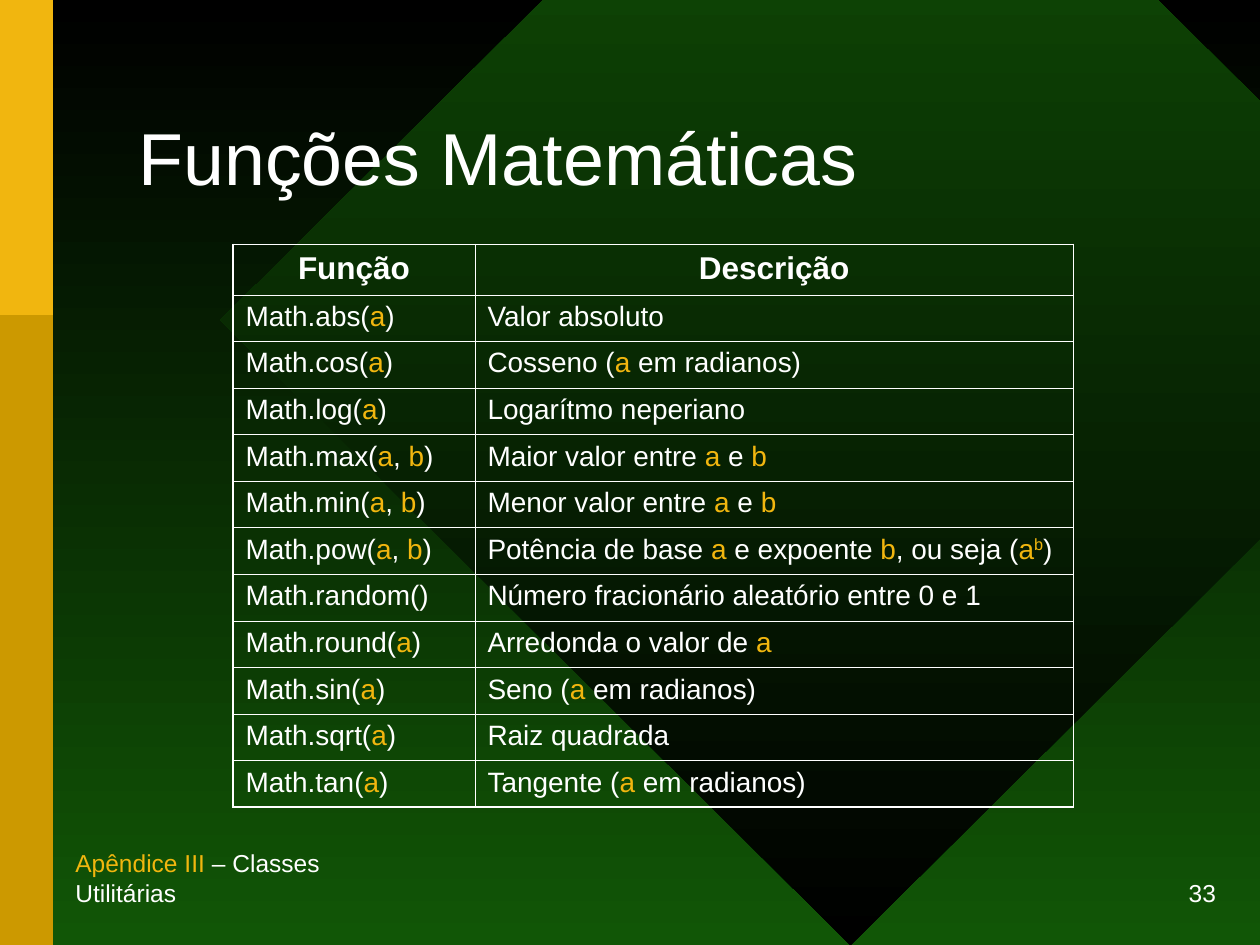
"""Builds the slide listing the mathematical functions."""
from lxml import etree
from pptx import Presentation
from pptx.dml.color import RGBColor
from pptx.enum.shapes import MSO_SHAPE
from pptx.enum.text import MSO_ANCHOR, MSO_AUTO_SIZE, PP_ALIGN
from pptx.oxml import parse_xml
from pptx.util import Inches, Pt

DIAMOND, RECTANGLE = MSO_SHAPE.DIAMOND, MSO_SHAPE.RECTANGLE
LEFT, CENTER, RIGHT = PP_ALIGN.LEFT, PP_ALIGN.CENTER, PP_ALIGN.RIGHT
MIDDLE, BOTTOM = MSO_ANCHOR.MIDDLE, MSO_ANCHOR.BOTTOM
NO_FIT = MSO_AUTO_SIZE.NONE
DRAWING = "http://schemas.openxmlformats.org/drawingml/2006/main"
COLORS = {"text": "FFFFFF", "accent": "F1B60F", "ochre": "CC9900",
          "green": "115606", "black": "000000"}
DOWNWARD = 270
OUTER, INNER = 1.08, 0.45

FUNCTIONS = [
    ("Math.abs(*a*)", "Valor absoluto"),
    ("Math.cos(*a*)", "Cosseno (*a* em radianos)"),
    ("Math.log(*a*)", "Logarítmo neperiano"),
    ("Math.max(*a*, *b*)", "Maior valor entre *a* e *b*"),
    ("Math.min(*a*, *b*)", "Menor valor entre *a* e *b*"),
    ("Math.pow(*a*, *b*)",
     "Potência de base *a* e expoente *b*, ou seja (*a**^b*)"),
    ("Math.random()", "Número fracionário aleatório entre 0 e 1"),
    ("Math.round(*a*)", "Arredonda o valor de *a*"),
    ("Math.sin(*a*)", "Seno (*a* em radianos)"),
    ("Math.sqrt(*a*)", "Raiz quadrada"),
    ("Math.tan(*a*)", "Tangente (*a* em radianos)"),
]


def rgb(name):
    """Return the named colour."""
    return RGBColor.from_string(COLORS[name])


def write(frame, text, size, align=LEFT, bold=False, before=0, spacing=1.0):
    """Write text, with *accented* parts and ^ marking a superscript."""
    paragraph = frame.paragraphs[0]
    paragraph.alignment = align
    paragraph.space_before = Pt(before)
    paragraph.line_spacing = spacing
    for index, part in enumerate(text.split("*")):
        if not part:
            continue
        run = paragraph.add_run()
        run.text = part.lstrip("^")
        run.font.name = "Arial"
        run.font.size = Pt(size)
        run.font.bold = bold
        run.font.color.rgb = rgb("accent" if index % 2 else "text")
        if part.startswith("^"):
            run.font._element.set("baseline", "30000")


def paint_gradient(fill, first, last):
    """Fill with a gradient running from top to bottom."""
    fill.gradient()
    fill.gradient_angle = DOWNWARD
    for stop, name, position in zip(fill.gradient_stops, (first, last), (0, 1)):
        stop.color.rgb = rgb(name)
        stop.position = position


def draw_borders(cell, widths):
    """Draw the left, right, top and bottom borders of a cell."""
    properties = cell._tc.get_or_add_tcPr()
    for index, (side, width) in enumerate(zip("LRTB", widths)):
        line = parse_xml(f'<a:ln{side} xmlns:a="{DRAWING}" w="{Pt(width)}"/>')
        solid = etree.SubElement(line, f"{{{DRAWING}}}solidFill")
        etree.SubElement(solid, f"{{{DRAWING}}}srgbClr", val=COLORS["text"])
        properties.insert(index, line)


class Deck:
    """Holds the style and the current slide."""

    def __init__(self, width, height):
        self.presentation = Presentation()
        self.presentation.slide_width = Inches(width)
        self.presentation.slide_height = Inches(height)
        layout = self.presentation.slide_layouts[5]
        self.slide = self.presentation.slides.add_slide(layout)
        paint_gradient(self.slide.background.fill, "black", "green")

    def shape(self, kind, box, *colors):
        """Add an unlined shape in one colour or a gradient of two."""
        shape = self.slide.shapes.add_shape(kind, *map(Inches, box))
        shape.shadow.inherit = False
        shape.line.fill.background()
        if len(colors) == 2:
            paint_gradient(shape.fill, *colors)
        else:
            shape.fill.solid()
            shape.fill.fore_color.rgb = rgb(colors[0])

    def footer(self, text, box, align):
        """Add a line of text at the foot of the slide."""
        frame = self.slide.shapes.add_textbox(*map(Inches, box)).text_frame
        frame.word_wrap = False
        frame.vertical_anchor = BOTTOM
        write(frame, text, 14, align=align, before=3.5)

    def title(self, text, box):
        """Place the title in front of the backdrop."""
        title = self.slide.shapes.title
        title.left, title.top, title.width, title.height = map(Inches, box)
        title.element.getparent().append(title.element)
        title.text_frame.auto_size = NO_FIT
        title.text_frame.vertical_anchor = MIDDLE
        write(title.text_frame, text, 42, spacing=0.85)

    def table(self, rows, left, top, widths, heights):
        """Add a transparent table whose first row is the heading."""
        box = left, top, sum(widths), sum(heights)
        table = self.slide.shapes.add_table(
            len(rows), len(widths), *map(Inches, box)).table
        table.first_row = table.horz_banding = False
        for column, width in zip(table.columns, widths):
            column.width = Inches(width)
        for row, height in zip(table.rows, heights):
            row.height = Inches(height)
        last_row, last_column = len(rows) - 1, len(widths) - 1
        for r, texts in enumerate(rows):
            for c, text in enumerate(texts):
                cell = table.cell(r, c)
                cell.fill.background()
                edges = c == 0, c == last_column, r == 0, r == last_row
                draw_borders(cell, [OUTER if edge else INNER for edge in edges])
                if r == 0:
                    write(cell.text_frame, text, 18, align=CENTER, bold=True,
                          before=13.5)
                else:
                    write(cell.text_frame, text, 16, before=12)


deck = Deck(10, 7.5)
deck.shape(DIAMOND, (1.75, -2.42, 10, 9.92), "green", "black")
deck.shape(RECTANGLE, (0, 0, 0.42, 7.5), "ochre")
deck.shape(RECTANGLE, (0, 0, 0.42, 2.5), "accent")
deck.footer("33", (7.25, 7, 2.5, 0.25), RIGHT)
deck.footer("*Apêndice III* – Classes Utilitárias", (0.5, 7, 2.5, 0.25), LEFT)
deck.title("Funções Matemáticas", (1, 0.67, 8.25, 1.25))
deck.table([("Função", "Descrição")] + FUNCTIONS, 1.85, 1.94,
           widths=[1.92, 4.75], heights=[0.4] + [0.37] * len(FUNCTIONS))
deck.presentation.save("out.pptx")
